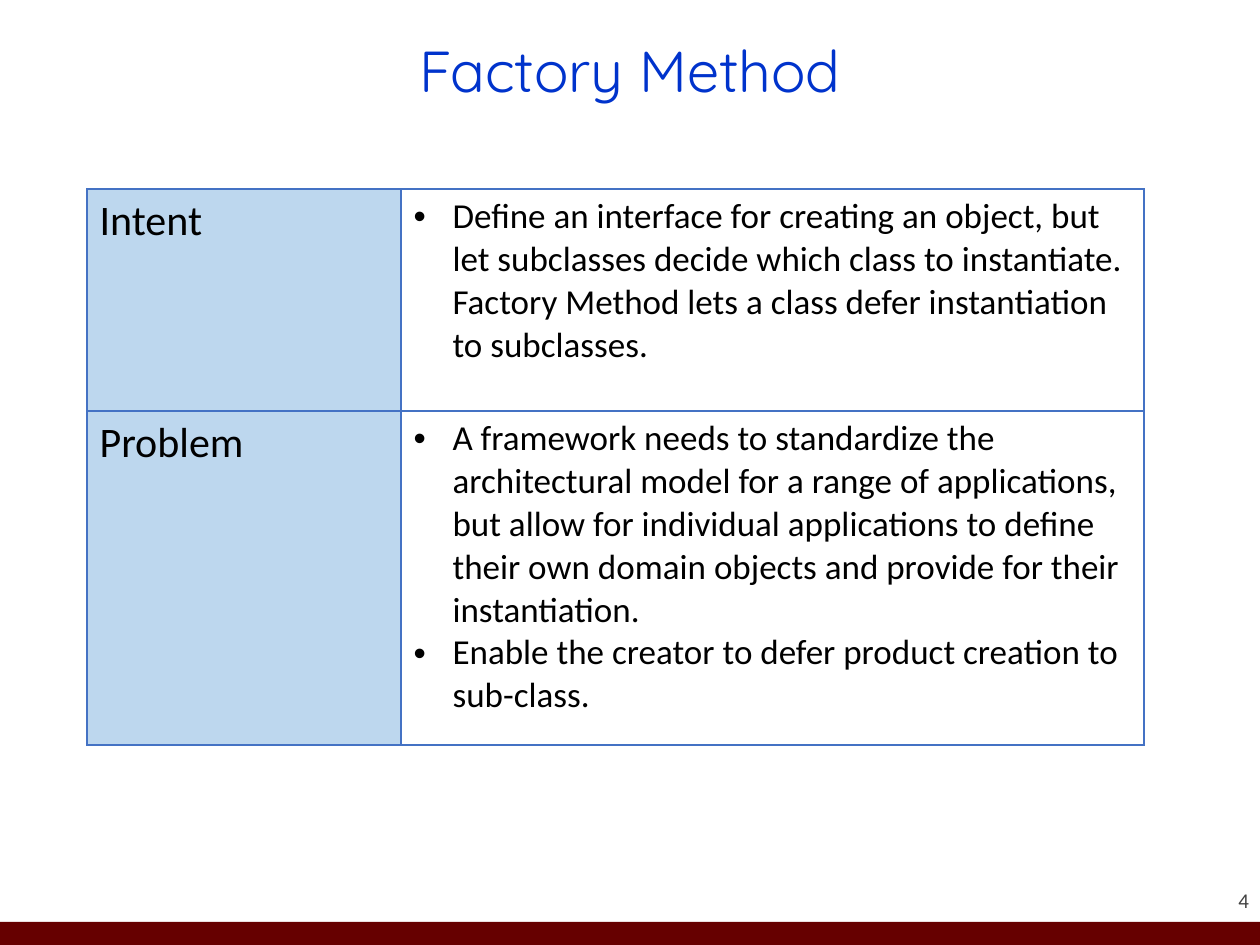
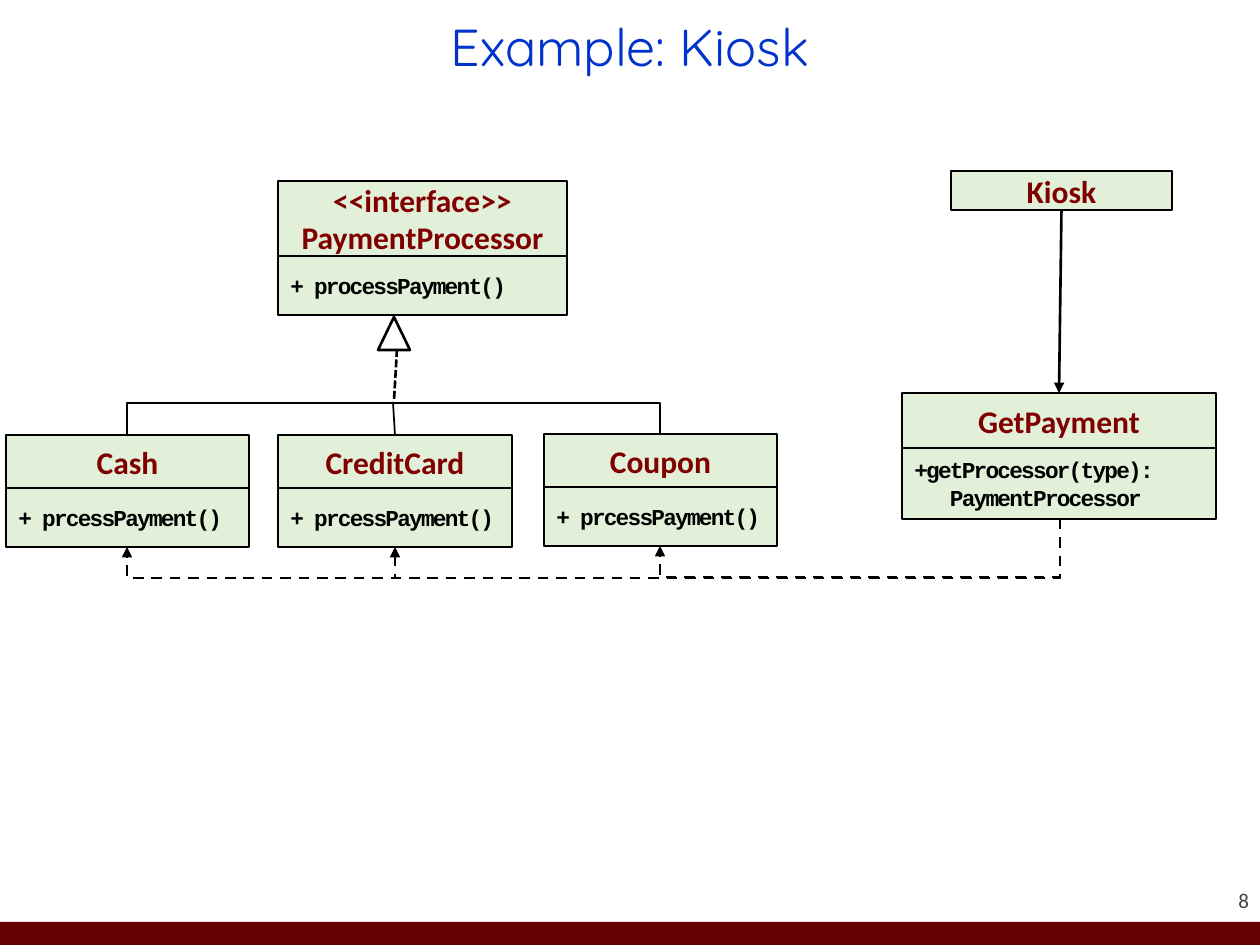
from lxml.etree import SubElement
from pptx import Presentation
from pptx.dml.color import RGBColor
from pptx.enum.dml import MSO_LINE
from pptx.enum.shapes import MSO_CONNECTOR, MSO_SHAPE
from pptx.enum.text import MSO_ANCHOR, PP_ALIGN
from pptx.oxml.ns import qn
from pptx.util import Pt

rgb = RGBColor.from_string
MAROON, BLUE, GREY = "660000", "0033CC", "424242"
BLACK, WHITE = "000000", "FFFFFF"
LABEL_FILL, GRID = "BDD7EE", "4472C4"
CLASS_FILL, CLASS_NAME = "E2F0D9", "800000"


def px(n):
    """Length in px, 126 to the inch, as EMU."""
    return round(n * 914400 / 126)


def write(tf, lines, size, font, color, align=PP_ALIGN.LEFT, anchor=MSO_ANCHOR.MIDDLE,
          bold=False, spacing=None, tracking=None, bullet=False):
    """Fill a text frame with one paragraph per line."""
    tf.word_wrap = True
    tf.vertical_anchor = anchor
    for i, line in enumerate(lines):
        p = tf.paragraphs[0] if i == 0 else tf.add_paragraph()
        p.alignment = align
        if spacing:
            p.line_spacing = spacing
        if bullet:
            pPr = p._p.get_or_add_pPr()
            pPr.set("marL", str(px(39)))
            pPr.set("indent", str(-px(39)))
            SubElement(pPr, qn("a:buFont")).set("typeface", "Arial")
            SubElement(pPr, qn("a:buChar")).set("char", "•")
        r = p.add_run()
        r.text = line
        r.font.size, r.font.name, r.font.bold = Pt(size), font, bold
        r.font.color.rgb = rgb(color)
        if tracking:
            r._r.get_or_add_rPr().set("spc", str(tracking))


prs = Presentation()
prs.slide_width, prs.slide_height = px(1260), px(945)

# Shared parts: bottom band, page number, title
slides = []
for title, title_height, title_size, number in [
    ("Factory Method", 118, 33, "4"),
    ("Example: Kiosk", 69, 29.7, "8"),
]:
    s = prs.slides.add_slide(prs.slide_layouts[6])
    band = s.shapes.add_shape(MSO_SHAPE.RECTANGLE, 0, px(922), px(1260), px(23))
    band.shadow.inherit = False
    band.fill.solid()
    band.fill.fore_color.rgb = rgb(MAROON)
    band.line.fill.background()

    tf = s.shapes.add_textbox(px(1144), px(863), px(105), px(50)).text_frame
    tf.margin_left = tf.margin_right = tf.margin_top = tf.margin_bottom = 0
    write(tf, [number], 12, "Calibri", GREY, PP_ALIGN.RIGHT, MSO_ANCHOR.BOTTOM)

    tf = s.shapes.add_textbox(px(87), px(15), px(1086), px(title_height)).text_frame
    write(tf, [title], title_size, "Quicksand", BLUE, PP_ALIGN.CENTER, spacing=0.9)
    slides.append(s)
pattern_slide, kiosk_slide = slides

# Slide 1: intent and problem table
rows = [
    ("Intent", 222, [
        "Define an interface for creating an object, but let subclasses decide which class "
        "to instantiate. Factory Method lets a class defer instantiation to subclasses.",
    ]),
    ("Problem", 334, [
        "A framework needs to standardize the architectural model for a range of "
        "applications, but allow for individual applications to define their own domain "
        "objects and provide for their instantiation.",
        "Enable the creator to defer product creation to sub-class.",
    ]),
]
table = pattern_slide.shapes.add_table(2, 2, px(87), px(189), px(1057), px(556)).table
table.first_row = table.horz_banding = False
table.columns[0].width, table.columns[1].width = px(314), px(743)
for i, (label, height, points) in enumerate(rows):
    table.rows[i].height = px(height)
    label_cell, points_cell = table.cell(i, 0), table.cell(i, 1)
    write(label_cell.text_frame, [label], 24, "Calibri", BLACK, anchor=MSO_ANCHOR.TOP)
    write(points_cell.text_frame, points, 20, "Calibri", BLACK, anchor=MSO_ANCHOR.TOP,
          bullet=True)
    for cell, fill in [(label_cell, LABEL_FILL), (points_cell, WHITE)]:
        tcPr = cell._tc.get_or_add_tcPr()
        for side in ("a:lnL", "a:lnR", "a:lnT", "a:lnB"):
            ln = SubElement(tcPr, qn(side), w=str(Pt(1)))
            SubElement(SubElement(ln, qn("a:solidFill")), qn("a:srgbClr"), val=GRID)
        cell.fill.solid()
        cell.fill.fore_color.rgb = rgb(fill)

# Slide 2: class boxes, a name part above a methods part
shapes = kiosk_slide.shapes
process_call = ["+ prcessPayment()"]
boxes = {}
for left, top, width, name_height, method_height, names, methods in [
    (278, 181, 289, 75, 59, ["<<interface>>", "PaymentProcessor"], ["+ processPayment()"]),
    (6, 435, 243, 53, 59, ["Cash"], process_call),
    (278, 435, 234, 53, 59, ["CreditCard"], process_call),
    (544, 434, 233, 53, 59, ["Coupon"], process_call),
    (902, 393, 314, 55, 71, ["GetPayment"],
     ["+getProcessor(type):", "   PaymentProcessor"]),
    (951, 171, 221, 39, 0, ["Kiosk"], []),
]:
    parts = [(top, name_height, names), (top + name_height, method_height, methods)]
    for part_top, height, lines in parts:
        if not lines:
            continue
        sp = shapes.add_shape(MSO_SHAPE.FLOWCHART_PROCESS,
                              px(left), px(part_top), px(width), px(height))
        sp.shadow.inherit = False
        sp.fill.solid()
        sp.fill.fore_color.rgb = rgb(CLASS_FILL)
        sp.line.color.rgb = rgb(BLACK)
        sp.line.width = Pt(1.5)
        if lines is names:
            write(sp.text_frame, lines, 18, "Calibri", CLASS_NAME, PP_ALIGN.CENTER, bold=True)
            boxes[names[-1]] = sp
        else:
            write(sp.text_frame, lines, 13, "Courier New", BLACK, bold=True, tracking=-100)

# Realization arrowhead
triangle = shapes.add_shape(MSO_SHAPE.ISOSCELES_TRIANGLE, px(378), px(317), px(32), px(33))
triangle.shadow.inherit = False
triangle.fill.background()
triangle.line.color.rgb = rgb(BLACK)
triangle.line.width = Pt(1.5)

# Straight connectors: (connector, width, dash, arrow)
straight = MSO_CONNECTOR.STRAIGHT
stem = shapes.add_connector(straight, px(397), px(349), px(394), px(401))
drop = shapes.add_connector(straight, px(395), px(435), px(393), px(402))
drop.begin_connect(boxes["CreditCard"], 0)
uses = shapes.add_connector(straight, px(1061), px(210), px(1059), px(393))
uses.begin_connect(boxes["Kiosk"], 2)
uses.end_connect(boxes["GetPayment"], 0)
connectors = [
    (stem, 1.5, MSO_LINE.SQUARE_DOT, False),
    (drop, 1, None, False),
    (uses, 1.5, None, True),
]

# U-shaped connectors: a quarter-turned elbow whose middle run lies beyond both ends
for x1, y1, x2, y2, reach, upward in [
    (127, 435, 660, 434, 32, True),
    (1060, 519, 660, 546, 58, False),
    (1060, 519, 395, 547, 59, False),
    (1060, 519, 127, 547, 59, False),
]:
    run, rise = abs(x2 - x1), abs(y2 - y1)
    left, top = (x1 + x2 - rise) / 2, (y1 + y2 - run) / 2
    elbow = shapes.add_connector(MSO_CONNECTOR.ELBOW, px(left), px(top),
                                 px(left + rise), px(top + run))
    xfrm = elbow._element.spPr.find(qn("a:xfrm"))
    xfrm.set("rot", "5400000")
    if upward:
        xfrm.set("flipH", "1")
        xfrm.set("flipV", "1")
    guides = elbow._element.spPr.find(qn("a:prstGeom")).get_or_add_avLst()
    SubElement(guides, qn("a:gd"), name="adj1", fmla=f"val {round(reach / rise * 100000)}")
    if upward:
        connectors.append((elbow, 1, None, False))
    else:
        connectors.append((elbow, 1.5, MSO_LINE.DASH, True))

for connector, width, dash, arrow in connectors:
    connector.line.color.rgb = rgb(BLACK)
    connector.line.width = Pt(width)
    if dash:
        connector.line.dash_style = dash
    if arrow:
        SubElement(connector.line._get_or_add_ln(), qn("a:tailEnd"), type="triangle")
    SubElement(connector._element.spPr, qn("a:effectLst"))

prs.save("out.pptx")
